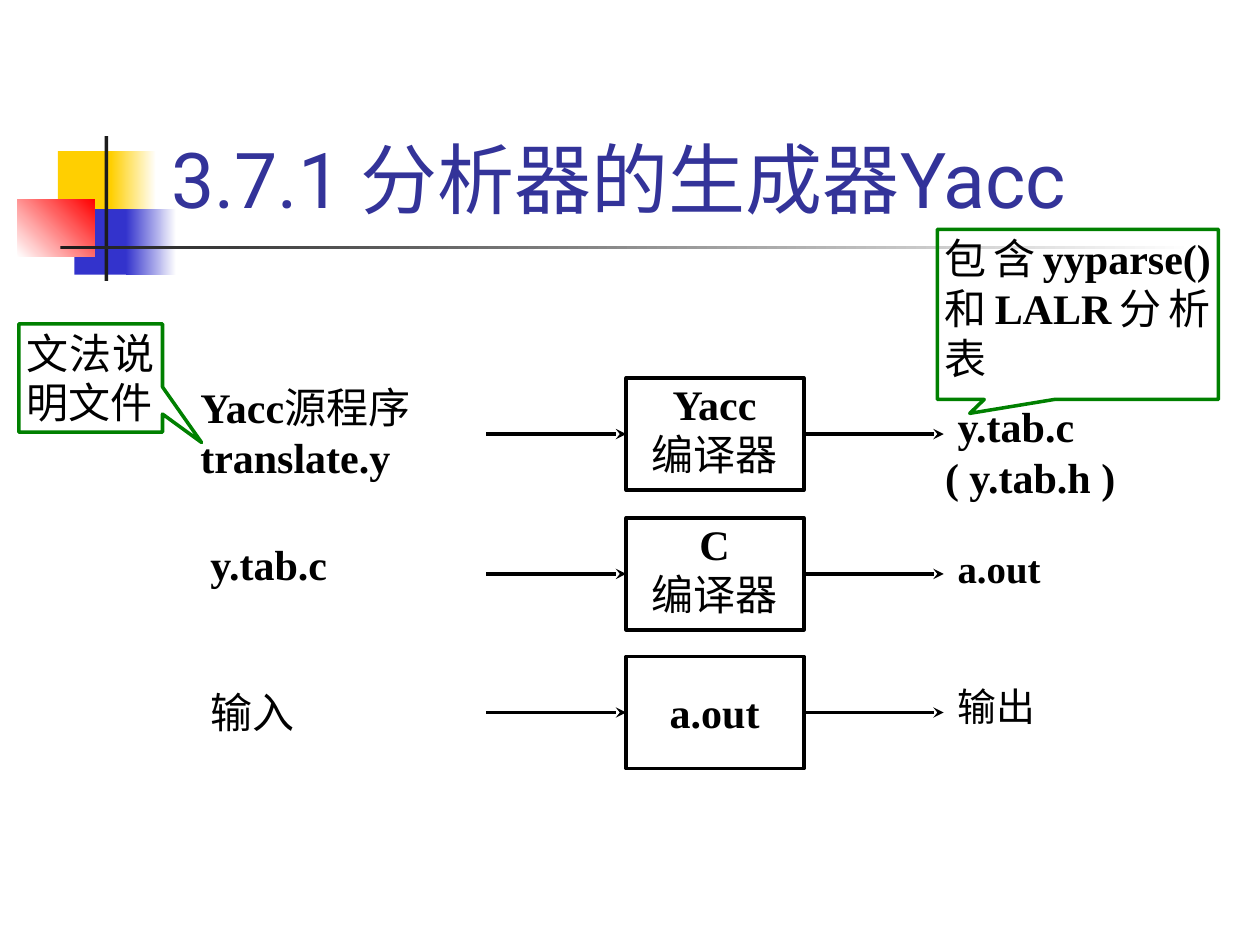
from dataclasses import dataclass

from lxml import etree
from pptx import Presentation
from pptx.dml.color import RGBColor
from pptx.enum.shapes import MSO_CONNECTOR, MSO_SHAPE
from pptx.enum.text import MSO_ANCHOR, PP_ALIGN
from pptx.oxml.ns import qn
from pptx.util import Inches, Pt

RECT = MSO_SHAPE.RECTANGLE
CALLOUT = MSO_SHAPE.RECTANGULAR_CALLOUT
STRAIGHT = MSO_CONNECTOR.STRAIGHT
TOP, BOTTOM = MSO_ANCHOR.TOP, MSO_ANCHOR.BOTTOM
LEFT, CENTER, JUSTIFY = PP_ALIGN.LEFT, PP_ALIGN.CENTER, PP_ALIGN.JUSTIFY

BLACK = RGBColor(0x00, 0x00, 0x00)
WHITE = RGBColor(0xFF, 0xFF, 0xFF)
CHARCOAL = RGBColor(0x1C, 0x1C, 0x1C)
YELLOW = RGBColor(0xFF, 0xCF, 0x01)
BLUE = RGBColor(0x33, 0x33, 0xCC)
RED = RGBColor(0xFF, 0x00, 0x00)
GREEN = RGBColor(0x00, 0x80, 0x00)
TITLE_BLUE = RGBColor(0x33, 0x33, 0x99)

SERIF, CJK, TITLE_FONT = "Times New Roman", "Noto Sans CJK SC", "Roboto"
LINE_PITCH = Pt(28.5)
BOX_INSETS = (0.09, 0.01, 0.1, 0.01)
LABEL_INSETS = (0.09, 0.03, 0.1, 0.05)
NOTE_INSETS = (0.06, 0.03, 0.06, 0.03)

Place = tuple[float, float, float, float]


@dataclass(frozen=True)
class Run:
    text: str
    bold: bool = True
    font: str = SERIF


Lines = list[list[Run]]


@dataclass(frozen=True)
class Ornament:
    at: Place
    start: RGBColor
    end: RGBColor | None = None
    angle: int = 0


@dataclass(frozen=True)
class Label:
    at: Place
    lines: Lines
    size: float = 24


@dataclass(frozen=True)
class Stage:
    top: float
    lines: Lines
    source: Label
    result: Label
    insets: Place = BOX_INSETS


@dataclass(frozen=True)
class Note:
    at: Place
    tip: tuple[float, float]
    runs: list[Run]


ORNAMENTS = [
    Ornament((0.46, 1.2, 0.48, 0.52), YELLOW),
    Ornament((0.88, 1.2, 0.36, 0.52), YELLOW, WHITE),
    Ornament((0.59, 1.66, 0.46, 0.52), BLUE),
    Ornament((1, 1.66, 0.4, 0.52), BLUE, WHITE),
    Ornament((0.14, 1.58, 0.61, 0.46), WHITE, RED, 45),
    Ornament((0.83, 1.08, 0.03, 1.15), CHARCOAL),
    Ornament((0.48, 1.95, 9, 0.03), CHARCOAL, WHITE),
]

COMPILER = [Run("编译器", False)]
STAGES = [
    Stage(3, [[Run("Yacc")], COMPILER],
          Label((1.5, 3, 2, 0.92),
                [[Run("Yacc"), Run("源程序", False)], [Run("translate.y")]]),
          Label((7.51, 3.15, 1.57, 0.51), [[Run("y.tab.c")]])),
    Stage(4.11, [[Run("C")], COMPILER],
          Label((1.58, 4.25, 1.42, 0.49), [[Run("y.tab.c")]]),
          Label((7.51, 4.27, 1.49, 0.48), [[Run("a.out")]], 22.2)),
    Stage(5.21, [[Run("a.out")]],
          Label((1.58, 5.42, 1.33, 0.49), [[Run("输入", False)]]),
          Label((7.51, 5.36, 1.24, 0.47), [[Run("输出", False)]], 22.2),
          (0.09, 0.24, 0.1, 0.01)),
]
BOX_LEFT, BOX_WIDTH, BOX_HEIGHT = 4.97, 1.41, 0.89
ARROW_START, ARROW_END = 3.86, 7.49

HEADER_FILE = Label((7.44, 3.56, 1.49, 0.46), [[Run("( y.tab.h )")]])
NOTES = [
    Note((7.44, 1.82, 2.23, 1.35), (-0.385, 0.582),
         [Run("包含", False, CJK), Run("yyparse()"), Run("和", False, CJK),
          Run("LALR"), Run("分析表", False, CJK)]),
    Note((0.15, 2.57, 1.14, 0.86), (0.772, 0.596),
         [Run("文法说明文件", False, CJK)]),
]


def write(sp, lines: Lines, *, size: float = 24, color: RGBColor = BLACK,
          align=JUSTIFY, anchor=TOP, insets: Place = LABEL_INSETS,
          pitch=LINE_PITCH, wrap: bool = True) -> None:
    tf = sp.text_frame
    tf.word_wrap = wrap
    tf.vertical_anchor = anchor
    (tf.margin_left, tf.margin_top,
     tf.margin_right, tf.margin_bottom) = map(Inches, insets)
    for i, runs in enumerate(lines):
        p = tf.add_paragraph() if i else tf.paragraphs[0]
        p.alignment = align
        p.line_spacing = pitch
        for run in runs:
            r = p.add_run()
            r.text = run.text
            r.font.size = Pt(size)
            r.font.bold = run.bold
            r.font.name = run.font
            r.font.color.rgb = color
            etree.SubElement(r.font._element, qn("a:ea"), typeface=CJK)


def add_text(slide, at: Place, lines: Lines, **style) -> None:
    write(slide.shapes.add_textbox(*map(Inches, at)), lines, **style)


def add_outlined(slide, kind, at: Place, color: RGBColor):
    sp = slide.shapes.add_shape(kind, *map(Inches, at))
    sp.shadow.inherit = False
    sp.fill.background()
    sp.line.color.rgb = color
    sp.line.width = Pt(2)
    return sp


def add_ornament(slide, item: Ornament) -> None:
    sp = slide.shapes.add_shape(RECT, *map(Inches, item.at))
    sp.shadow.inherit = False
    sp.line.fill.background()
    if item.end is None:
        sp.fill.solid()
        sp.fill.fore_color.rgb = item.start
        return
    sp.fill.gradient()
    sp.fill.gradient_angle = item.angle
    for stop, color in zip(sp.fill.gradient_stops, (item.start, item.end)):
        stop.color.rgb = color


def add_arrow(slide, x1: float, x2: float, y: float):
    cn = slide.shapes.add_connector(
        STRAIGHT, Inches(x1), Inches(y), Inches(x2), Inches(y))
    cn.line.color.rgb = BLACK
    cn.line.width = Pt(2)
    etree.SubElement(cn.line._get_or_add_ln(), qn("a:tailEnd"), type="stealth")
    etree.SubElement(cn._element.spPr, qn("a:effectLst"))
    return cn


def add_stage(slide, stage: Stage) -> None:
    box = add_outlined(
        slide, RECT, (BOX_LEFT, stage.top, BOX_WIDTH, BOX_HEIGHT), BLACK)
    write(box, stage.lines, align=CENTER, insets=stage.insets)
    middle = stage.top + BOX_HEIGHT / 2
    add_arrow(slide, ARROW_START, BOX_LEFT, middle).end_connect(box, 1)
    add_arrow(slide, BOX_LEFT + BOX_WIDTH, ARROW_END,
              middle).begin_connect(box, 3)
    for label in (stage.source, stage.result):
        add_text(slide, label.at, label.lines, size=label.size)


def add_note(slide, note: Note) -> None:
    sp = add_outlined(slide, CALLOUT, note.at, GREEN)
    sp.adjustments[0], sp.adjustments[1] = note.tip
    write(sp, [note.runs], insets=NOTE_INSETS)


def main() -> None:
    prs = Presentation()
    prs.slide_width, prs.slide_height = Inches(10), Inches(7.5)
    slide = prs.slides.add_slide(prs.slide_layouts[6])

    # Corner ornament and title
    for item in ORNAMENTS:
        add_ornament(slide, item)
    add_text(slide, (1.26, 0.23, 8.52, 1.6),
             [[Run("3.7.1 分析器的生成器Yacc", False, TITLE_FONT)]],
             size=44, color=TITLE_BLUE, align=LEFT, anchor=BOTTOM,
             insets=(0.1, 0.05, 0.1, 0.05), pitch=None)

    # Compilation stages
    for stage in STAGES:
        add_stage(slide, stage)
    add_text(slide, HEADER_FILE.at, HEADER_FILE.lines,
             insets=NOTE_INSETS, wrap=False)

    # Callouts
    for note in NOTES:
        add_note(slide, note)

    prs.save("out.pptx")


if __name__ == "__main__":
    main()
